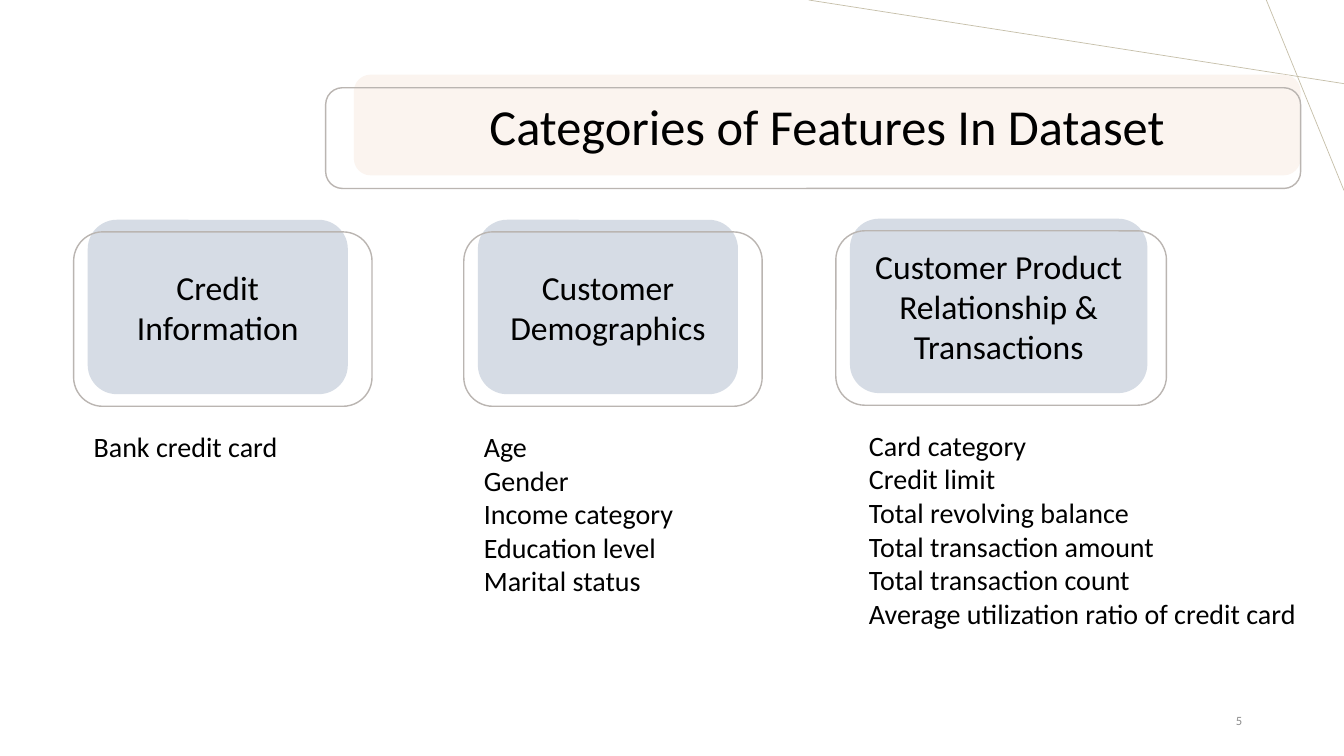
from dataclasses import dataclass

from lxml.etree import SubElement
from pptx import Presentation
from pptx.dml.color import RGBColor
from pptx.enum.shapes import MSO_CONNECTOR as Connector, MSO_SHAPE as Shape
from pptx.enum.text import MSO_ANCHOR as Anchor, PP_ALIGN as Align
from pptx.oxml.ns import qn
from pptx.util import Inches, Pt

WIDTH, HEIGHT = Inches(13.33), Inches(7.5)
FONT = "Calibri"
BLACK, MUTED = "000000", "8C8C8C"
TITLE_FILL, CARD_FILL = "FBF4EF", "D6DCE5"
OUTLINE, DECOR = "BAB5B1", "C6BFA9"
FRAME_DROP, LIST_DROP, CARD_HEIGHT = 1.6, 27.07, 23.07


@dataclass
class Category:
    heading: str
    features: list
    left: float
    top: float
    panel_width: float
    frame_width: float
    list_indent: float
    list_width: float
    list_height: float


CATEGORIES = [
    Category("Customer Demographics",
             ["Age", "Gender", "Income category", "Education level", "Marital status"],
             35.56, 29.07, 19.35, 22.2, -0.3, 19.65, 23.73),
    Category("Customer Product Relationship & Transactions",
             ["Card category", "Credit limit", "Total revolving balance",
              "Total transaction amount", "Total transaction count",
              "Average utilization ratio of credit card"],
             63.24, 28.93, 22.13, 24.6, 0.68, 35.86, 32.27),
    Category("Credit Information", ["Bank credit card"],
             6.53, 29.07, 19.35, 22.2, -0.3, 19.65, 5.87),
]


def color(hex_code):
    return RGBColor.from_string(hex_code)


def across(percent):
    return round(WIDTH * percent / 100)


def down(percent):
    return round(HEIGHT * percent / 100)


def area(left, top, width, height):
    return across(left), down(top), across(width), down(height)


def write(frame, lines, size, align, anchor, ink=BLACK):
    frame.word_wrap = True
    frame.vertical_anchor = anchor
    for index, line in enumerate(lines):
        paragraph = frame.add_paragraph() if index else frame.paragraphs[0]
        paragraph.alignment = align
        run = paragraph.add_run()
        run.text = line
        run.font.name = FONT
        run.font.size = Pt(size)
        run.font.color.rgb = color(ink)


def add_rounded(slide, box):
    rounded = slide.shapes.add_shape(Shape.ROUNDED_RECTANGLE, *area(*box))
    rounded.shadow.inherit = False
    return rounded


def add_panel(slide, box, fill, text, size):
    panel = add_rounded(slide, box)
    panel.fill.solid()
    panel.fill.fore_color.rgb = color(fill)
    panel.line.fill.background()
    write(panel.text_frame, [text], size, Align.CENTER, Anchor.MIDDLE)


def add_frame(slide, box):
    frame = add_rounded(slide, box)
    frame.fill.background()
    frame.line.color.rgb = color(OUTLINE)
    frame.line.width = Pt(1)


def add_text(slide, box, lines, size, align=Align.LEFT, anchor=Anchor.TOP, ink=BLACK):
    text_box = slide.shapes.add_textbox(*area(*box))
    write(text_box.text_frame, lines, size, align, anchor, ink)


def add_decor_line(slide, x1, y1, x2, y2):
    line = slide.shapes.add_connector(
        Connector.STRAIGHT, across(x1), down(y1), across(x2), down(y2))
    line.line.color.rgb = color(DECOR)
    line.line.width = Pt(0.5)
    SubElement(line._element.spPr, qn("a:effectLst"))


def add_category(slide, category):
    left, top = category.left, category.top
    add_panel(slide, (left, top, category.panel_width, CARD_HEIGHT),
              CARD_FILL, category.heading, 24)
    add_frame(slide, (left - 1.05, top + FRAME_DROP, category.frame_width, CARD_HEIGHT))
    add_text(slide, (left + category.list_indent, top + LIST_DROP,
                     category.list_width, category.list_height), category.features, 20)


def main():
    deck = Presentation()
    deck.slide_width, deck.slide_height = WIDTH, HEIGHT
    slide = deck.slides.add_slide(deck.slide_layouts[6])
    add_decor_line(slide, 100, 11.07, 60.17, 0)
    add_decor_line(slide, 94.22, 0, 100, 25.2)
    add_text(slide, (70.67, 92.67, 22.5, 5.33), ["5"], 9, Align.RIGHT, Anchor.MIDDLE, MUTED)
    add_panel(slide, (26.33, 9.87, 70.44, 13.33), TITLE_FILL,
              "Categories of Features In Dataset", 36)
    add_frame(slide, (24.23, 11.6, 72.54, 13.33))
    for category in CATEGORIES:
        add_category(slide, category)
    deck.save("out.pptx")


if __name__ == "__main__":
    main()
